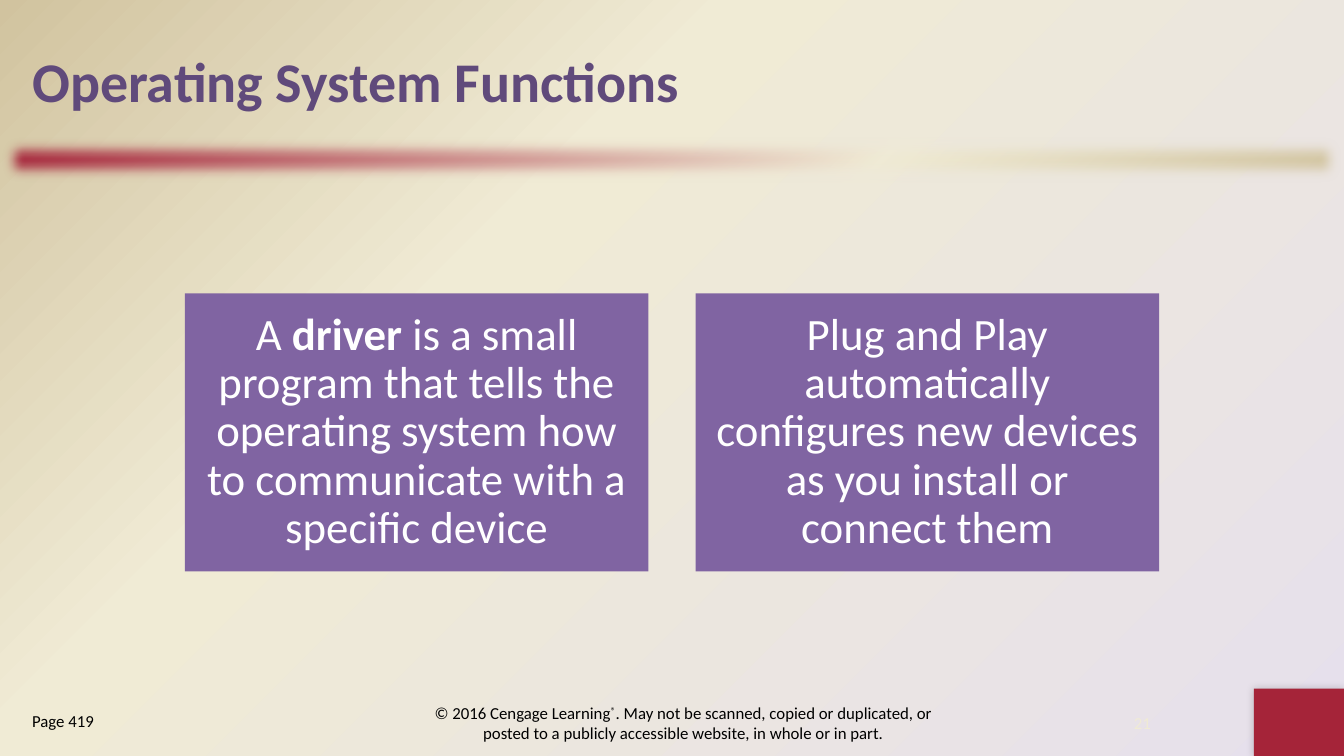
"""Builds the slide on operating system functions."""
import pptx
import pptx.dml.color
import pptx.enum.shapes
import pptx.enum.text
import pptx.oxml
import pptx.oxml.ns
import pptx.util

WIDTH = pptx.util.Inches(13.33)
HEIGHT = pptx.util.Inches(7.5)
RGB = pptx.dml.color.RGBColor
RED = RGB(0xA5, 0x24, 0x39)
LAVENDER = RGB(0xE6, 0xE0, 0xEC)
CREAM = RGB(0xF0, 0xEB, 0xD5)
TAN = RGB(0xD1, 0xC3, 0x9F)
PURPLE = RGB(0x80, 0x64, 0xA2)
DEEP_PURPLE = RGB(0x60, 0x4A, 0x7B)
WHITE = RGB(0xFF, 0xFF, 0xFF)
BLACK = RGB(0, 0, 0)
ALIGN = pptx.enum.text.PP_ALIGN
MIDDLE = pptx.enum.text.MSO_ANCHOR.MIDDLE
TOP = pptx.enum.text.MSO_ANCHOR.TOP

CARDS = [
    [("A ", False), ("driver", True),
     (" is a small program that tells the operating system "
      "how to communicate with a specific device", False)],
    [("Plug and Play automatically configures new devices "
      "as you install or connect them", False)],
]
CARD_LEFT, CARD_STEP = 0.1375, 0.38
FOOTER = [
    ("© 2016 Cengage Learning", False), ("®", False),
    (". May not be scanned, copied or duplicated, or posted to a publicly "
     "accessible website, in whole or in part.", False),
]


def area(left, top, width, height):
    """Turn shares of the slide into lengths."""
    return (int(left * WIDTH), int(top * HEIGHT),
            int(width * WIDTH), int(height * HEIGHT))


def xml(tag, content="", **attributes):
    """Make a drawing element."""
    listed = "".join(f' {key}="{value}"' for key, value in attributes.items())
    return pptx.oxml.parse_xml(
        f'<a:{tag} {pptx.oxml.ns.nsdecls("a")}{listed}>{content}</a:{tag}>')


def set_gradient(owner, first, direction):
    """Give the gradient in the owner three stops and a direction."""
    gradient = owner.find(".//" + pptx.oxml.ns.qn("a:gradFill"))
    for child in list(gradient):
        gradient.remove(child)
    stops = "".join(
        f'<a:gs pos="{share * 1000}"><a:srgbClr val="{color}"/></a:gs>'
        for share, color in ((0, first), (65, CREAM), (100, TAN)))
    gradient.append(xml("gsLst", stops))
    gradient.append(direction)


def add_block(slide, place, color, effect=None):
    """Add a plain rectangle, with an effect if one is given."""
    block = slide.shapes.add_shape(
        pptx.enum.shapes.MSO_SHAPE.RECTANGLE, *place)
    block.shadow.inherit = False
    block.fill.solid()
    block.fill.fore_color.rgb = color
    block.line.fill.background()
    if effect is not None:
        block.element.spPr.find(pptx.oxml.ns.qn("a:effectLst")).append(effect)
    return block


def write(frame, pieces, size, color, align=ALIGN.LEFT, anchor=MIDDLE):
    """Write one paragraph of plain and bold pieces and return it."""
    frame.word_wrap = True
    frame.vertical_anchor = anchor
    paragraph = frame.paragraphs[0]
    paragraph.alignment = align
    for words, bold in pieces:
        run = paragraph.add_run()
        run.text = words
        look = {"name": "Calibri", "size": pptx.util.Pt(size), "bold": bold}
        for key, value in look.items():
            setattr(run.font, key, value)
        run.font.color.rgb = color
    return paragraph


def add_note(slide, place, pieces, color, **layout):
    """Add a small text at the foot of the slide."""
    note = slide.shapes.add_textbox(*place)
    return write(note.text_frame, pieces, 12, color, **layout)


def add_card(slide, column, pieces):
    """Add a purple card in the given column."""
    place = area(CARD_LEFT + column * CARD_STEP, 0.388, 0.345, 0.368)
    frame = add_block(slide, place, PURPLE).text_frame
    for side in ("left", "top", "right", "bottom"):
        setattr(frame, f"margin_{side}", pptx.util.Inches(0.13))
    write(frame, pieces, 32, WHITE, ALIGN.CENTER).line_spacing = 0.9


def add_decoration(slide):
    """Add the background, the soft bar and the corner block."""
    slide.background.fill.gradient()
    centre = '<a:fillToRect l="100000" t="100000"/>'
    set_gradient(slide.element, LAVENDER, xml("path", centre, path="circle"))
    bar = add_block(slide, area(0, 0.1775, 1, 0.0667), RED,
                    xml("softEdge", rad=127000))
    bar.fill.gradient()
    set_gradient(bar.element, RED, xml("lin", ang=2700000, scaled=1))
    shade = '<a:srgbClr val="000000"><a:alpha val="20000"/></a:srgbClr>'
    add_block(slide, area(0.933, 0.911, 0.067, 0.089), RED,
              xml("outerShdw", shade, blurRad=76200, dist=0, dir=13500000))


def main():
    """Build and save the slide."""
    deck = pptx.Presentation()
    deck.slide_width, deck.slide_height = WIDTH, HEIGHT
    slide = deck.slides.add_slide(deck.slide_layouts.get_by_name("Title Only"))
    add_decoration(slide)

    title = slide.shapes.title
    title.left, title.top, title.width, title.height = area(
        0.0165, 0.0227, 0.967, 0.1667)
    write(title.text_frame, [("Operating System Functions", True)],
          40, DEEP_PURPLE)

    for column, pieces in enumerate(CARDS):
        add_card(slide, column, pieces)

    footer = add_note(slide, area(0.3, 0.923, 0.417, 0.0667), FOOTER, BLACK,
                      align=ALIGN.CENTER)
    footer.runs[1].font._element.set("baseline", "30000")
    add_note(slide, area(0.0165, 0.933, 0.183, 0.0667),
             [("Page 419", False)], BLACK, anchor=TOP)
    add_note(slide, area(0.82, 0.923, 0.06, 0.0667),
             [("21", False)], CREAM, align=ALIGN.CENTER)
    deck.save("out.pptx")


if __name__ == "__main__":
    main()
